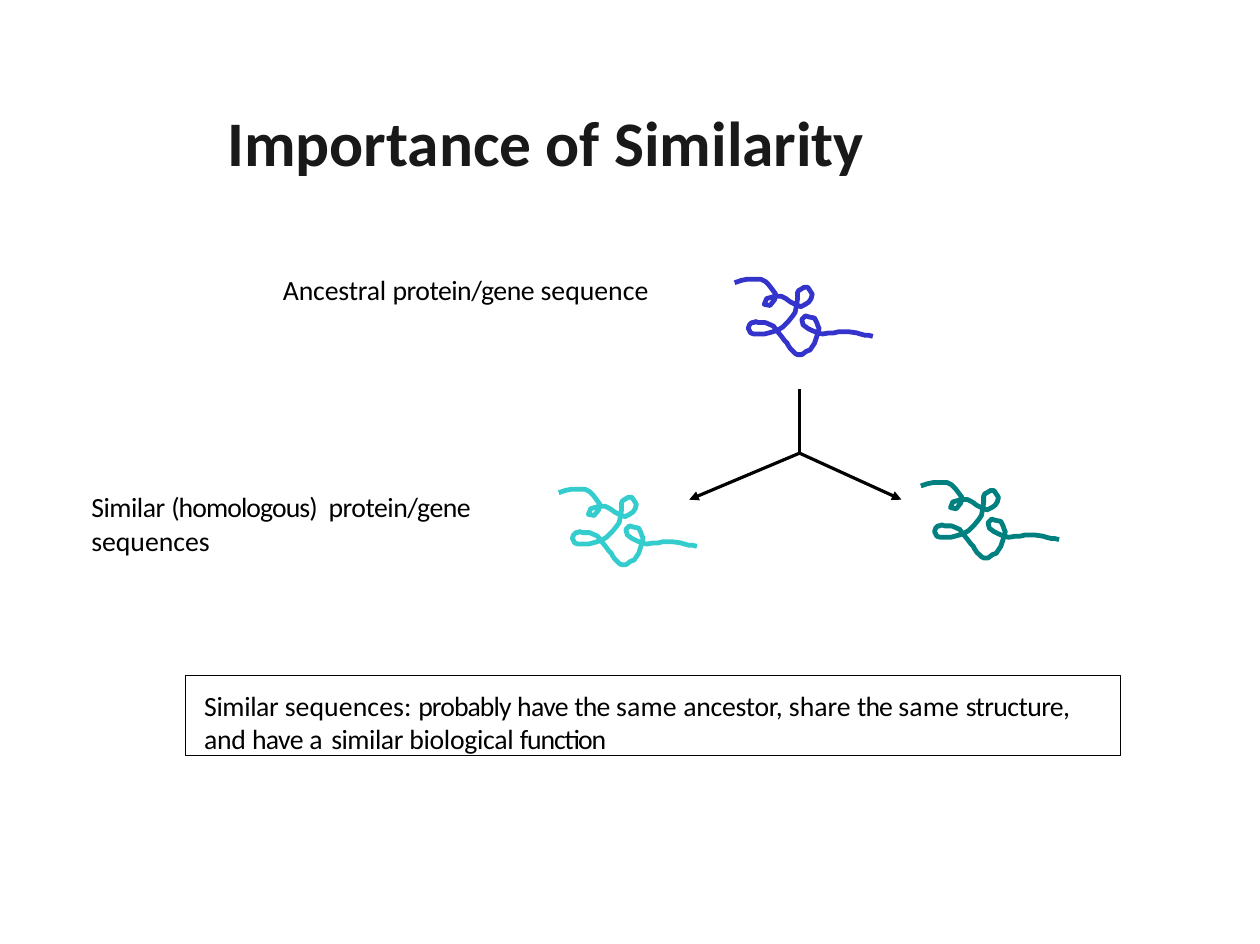
from dataclasses import dataclass

from lxml import etree
from pptx import Presentation
from pptx.dml.color import RGBColor
from pptx.enum.shapes import MSO_CONNECTOR, MSO_SHAPE
from pptx.enum.text import MSO_ANCHOR, MSO_AUTO_SIZE, PP_ALIGN
from pptx.oxml.ns import qn
from pptx.util import Cm, Pt

STRAIGHT = MSO_CONNECTOR.STRAIGHT
RECTANGLE = MSO_SHAPE.RECTANGLE
TOP = MSO_ANCHOR.TOP
NO_FIT = MSO_AUTO_SIZE.NONE
LEFT, CENTER = PP_ALIGN.LEFT, PP_ALIGN.CENTER
TITLE_ONLY = 5
SQUIGGLE_UNIT = Cm(0.0254)
SQUIGGLE = [
    (0, 3), (6, 1), (11, 0), (16, 0), (23, 0), (27, 2), (30, 5), (33, 9), (36, 13),
    (35, 18), (31, 23), (26, 22), (28, 17), (35, 15), (41, 15), (45, 17), (49, 20),
    (53, 22), (58, 24), (62, 22), (65, 20), (67, 17), (68, 13), (66, 10), (64, 7),
    (61, 7), (56, 10), (55, 12), (55, 18), (54, 24), (53, 29), (51, 32), (47, 37),
    (42, 42), (37, 45), (30, 47), (26, 48), (17, 48), (14, 47), (13, 45), (12, 43),
    (13, 40), (14, 39), (15, 38), (17, 38), (18, 37), (21, 38), (27, 38), (34, 41),
    (37, 45), (41, 50), (44, 54), (46, 56), (47, 58), (49, 61), (51, 63), (53, 65),
    (55, 66), (59, 66), (63, 63), (66, 62), (70, 56), (72, 50), (73, 46), (74, 43),
    (73, 41), (72, 38), (70, 34), (65, 33), (62, 32), (61, 33), (59, 35), (59, 36),
    (60, 40), (64, 43), (68, 45), (73, 47), (77, 48), (83, 47), (87, 47), (91, 46),
    (100, 46), (107, 47), (110, 48), (114, 49), (117, 49), (121, 50),
]
ANCESTRAL_TEXT = [[("Ancestral ", -0.1), ("protein/gene ", -0.3), ("sequence", 0)]]
HOMOLOGOUS_TEXT = [
    [("Similar ", -0.3), ("(homologous)  ", -0.6), ("protein/gene", -0.3)],
    [("sequences", 0)],
]
CONCLUSION_TEXT = [[
    ("Similar ", -0.25), ("sequences: ", 0.05), ("probably ", -0.6), ("have ", -0.4),
    ("the ", -0.5), ("same ", 0.1), ("ancestor, ", -0.2), ("share ", 0),
    ("the ", -0.6), ("same ", 0.1), ("structure, ", -0.4), ("and ", -0.2),
    ("have ", -0.4), ("a ", 0.7), ("similar ", -0.3), ("biological ", -0.2),
    ("function", -0.7),
]]


@dataclass(frozen=True)
class Theme:
    """Colours, type and line sizes of the slide."""
    font: str = "Calibri"
    title_size: Pt = Pt(40)
    body_size: Pt = Pt(17.5)
    title: RGBColor = RGBColor(0x19, 0x19, 0x19)
    text: RGBColor = RGBColor(0, 0, 0)
    line: RGBColor = RGBColor(1, 1, 1)
    ancestor: RGBColor = RGBColor(0x34, 0x34, 0xCC)
    first_descendant: RGBColor = RGBColor(0x34, 0xCC, 0xCC)
    second_descendant: RGBColor = RGBColor(0x01, 0x80, 0x80)
    squiggle_width: Pt = Pt(3)
    arrow_width: Pt = Pt(2)
    border_width: Pt = Pt(0.75)


@dataclass(frozen=True)
class Box:
    """A region of the slide in centimetres."""
    left: float
    top: float
    width: float
    height: float

    def lengths(self):
        """Return the position and size as slide lengths."""
        return Cm(self.left), Cm(self.top), Cm(self.width), Cm(self.height)


THEME = Theme()


def prepare_frame(frame, left=0, top=0.03, right=0):
    """Set the margins, wrapping and anchor of a text frame."""
    frame.margin_left, frame.margin_top = Cm(left), Cm(top)
    frame.margin_right, frame.margin_bottom = Cm(right), 0
    frame.word_wrap = True
    frame.auto_size = NO_FIT
    frame.vertical_anchor = TOP


def style_font(font, size, color, bold=False):
    """Apply the slide typeface with a size and a colour."""
    font.name, font.size, font.bold = THEME.font, size, bold
    font.color.rgb = color


def write_paragraphs(frame, lines):
    """Fill a text frame with lines of (text, letter spacing) pieces."""
    for index, pieces in enumerate(lines):
        paragraph = frame.add_paragraph() if index else frame.paragraphs[0]
        paragraph.alignment = LEFT
        if index:
            paragraph.space_before = Pt(1)
        style_font(paragraph.font, THEME.body_size, THEME.text)
        for text, spacing in pieces:
            run = paragraph.add_run()
            run.text = text
            run._r.get_or_add_rPr().set("spc", str(round(spacing * 100)))


def add_title(slide, box):
    """Place and format the slide title."""
    title = slide.shapes.title
    title.left, title.top, title.width, title.height = box.lengths()
    prepare_frame(title.text_frame)
    title.text_frame.text = "Importance of Similarity"
    paragraph = title.text_frame.paragraphs[0]
    paragraph.alignment = CENTER
    style_font(paragraph.font, THEME.title_size, THEME.title, bold=True)


def add_label(slide, box, lines):
    """Add a plain text label."""
    label = slide.shapes.add_textbox(*box.lengths())
    prepare_frame(label.text_frame)
    write_paragraphs(label.text_frame, lines)


def add_squiggle(slide, left, top, color):
    """Draw a folded sequence with its corner at the given place."""
    builder = slide.shapes.build_freeform(*SQUIGGLE[0], scale=SQUIGGLE_UNIT)
    builder.add_line_segments(SQUIGGLE[1:], close=False)
    squiggle = builder.convert_to_shape(Cm(left), Cm(top))
    squiggle.shadow.inherit = False
    squiggle.fill.background()
    squiggle.line.color.rgb = color
    squiggle.line.width = THEME.squiggle_width


def add_line(slide, start, end, arrow):
    """Draw a straight line between two points, with an optional arrowhead."""
    connector = slide.shapes.add_connector(STRAIGHT, *map(Cm, start + end))
    connector.line.color.rgb = THEME.line
    connector.line.width = THEME.arrow_width
    properties = connector._element.spPr
    if arrow:
        etree.SubElement(properties.find(qn("a:ln")), qn("a:tailEnd"),
                         type="triangle", w="med", len="med")
    etree.SubElement(properties, qn("a:effectLst"))


def add_branch(slide, box):
    """Draw a stem that splits into two arrows."""
    middle = box.left + box.width * 0.52
    fork = (middle, box.top + box.height * 0.58)
    add_line(slide, (middle, box.top), fork, False)
    for tip in (box.left, box.left + box.width):
        add_line(slide, fork, (tip, box.top + box.height), True)


def add_conclusion(slide, box):
    """Add the outlined statement at the bottom."""
    panel = slide.shapes.add_shape(RECTANGLE, *box.lengths())
    panel.shadow.inherit = False
    panel.fill.background()
    panel.line.color.rgb = THEME.line
    panel.line.width = THEME.border_width
    prepare_frame(panel.text_frame, left=0.41, top=0.3, right=0.8)
    write_paragraphs(panel.text_frame, CONCLUSION_TEXT)


def main():
    """Build and save the slide."""
    presentation = Presentation()
    presentation.slide_width, presentation.slide_height = Cm(28.01), Cm(20.99)
    slide = presentation.slides.add_slide(presentation.slide_layouts[TITLE_ONLY])
    add_title(slide, Box(2.42, 2.26, 19.43, 1.75))
    add_squiggle(slide, 16.33, 6.21, THEME.ancestor)
    add_squiggle(slide, 12.42, 10.88, THEME.first_descendant)
    add_squiggle(slide, 20.47, 10.73, THEME.second_descendant)
    add_branch(slide, Box(15.32, 8.65, 4.72, 2.46))
    add_label(slide, Box(6.29, 6.04, 9.3, 0.8), ANCESTRAL_TEXT)
    add_label(slide, Box(2.03, 10.85, 9.2, 2.29), HOMOLOGOUS_TEXT)
    add_conclusion(slide, Box(4.13, 15.02, 20.78, 1.78))
    presentation.save("out.pptx")


if __name__ == "__main__":
    main()
